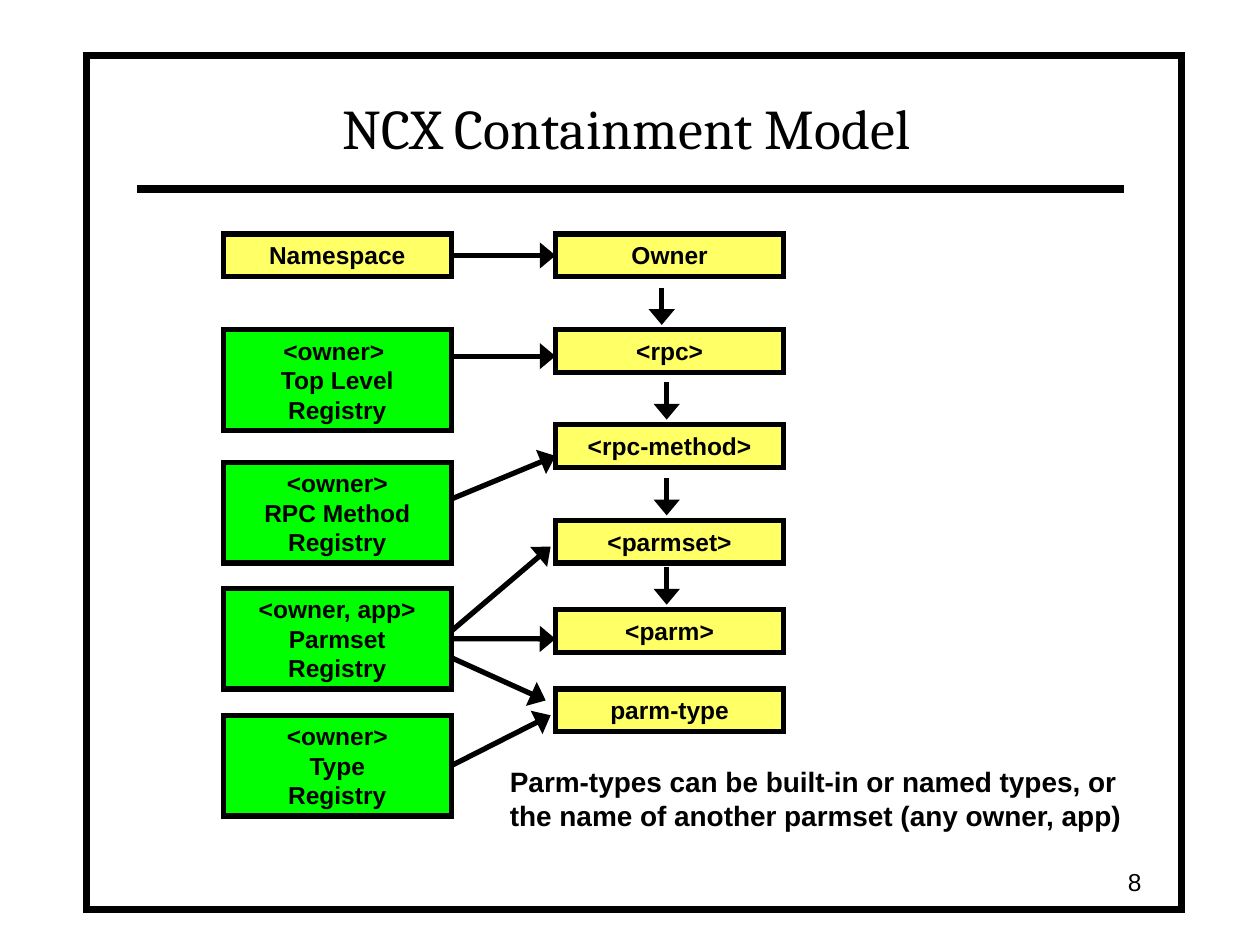
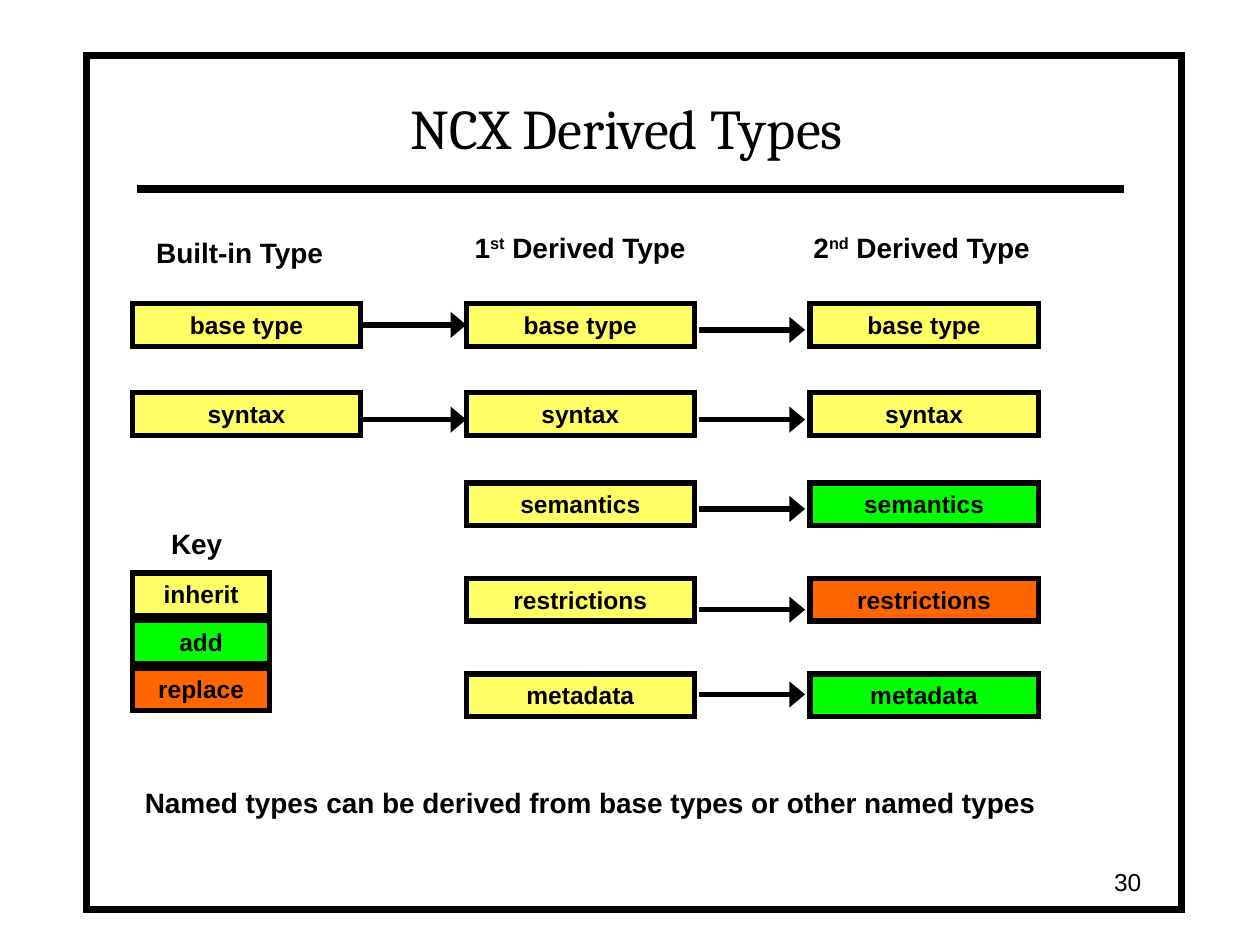
import pptx
import pptx.dml.color
import pptx.enum.shapes
import pptx.enum.text
import pptx.oxml.ns
import pptx.util
import lxml.etree

Cm, Pt = pptx.util.Cm, pptx.util.Pt
ALIGN = pptx.enum.text.PP_ALIGN
ANCHOR = pptx.enum.text.MSO_ANCHOR
LEFT_SIDE, RIGHT_SIDE = 1, 3

COLOURS = {
    "paper": "FFFFFF",
    "ink": "000000",
    "inherit": "FFFF66",
    "add": "00FF00",
    "replace": "FF6600",
}
BOX_WIDTH, BOX_HEIGHT, REGISTRY_HEIGHT = 4.6, 0.86, 2.03


def colour(name):
    """Return the named colour of the palette."""
    return pptx.dml.color.RGBColor.from_string(COLOURS[name])


def add_element(parent, tag, **attributes):
    """Append a drawing element with its attributes."""
    lxml.etree.SubElement(parent, pptx.oxml.ns.qn(tag), attributes)


def write(frame, text, size, bold=True, font="Arial", align=ALIGN.LEFT, anchor=ANCHOR.TOP):
    """Fill a frame; a newline breaks the line and carets enclose superscript."""
    frame.vertical_anchor = anchor
    paragraph = frame.paragraphs[0]
    paragraph.alignment = align
    for number, line in enumerate(text.split("\n")):
        if number:
            paragraph.add_line_break()
        for position, part in enumerate(line.split("^")):
            run = paragraph.add_run()
            run.text = part
            run.font.name, run.font.size, run.font.bold = font, Pt(size), bold
            run.font.color.rgb = colour("ink")
            if position % 2:
                run.font._element.set("baseline", "30000")


def label(slide, left, top, width, height, text, size=16, wrap=True, **style):
    """Place free text."""
    frame = slide.shapes.add_textbox(Cm(left), Cm(top), Cm(width), Cm(height)).text_frame
    frame.word_wrap = wrap
    write(frame, text, size, **style)


def panel(slide, left, top, width, height, fill, line_width=3):
    """Draw a rectangle with a sharp-cornered outline."""
    shape = slide.shapes.add_shape(pptx.enum.shapes.MSO_SHAPE.RECTANGLE,
                                   Cm(left), Cm(top), Cm(width), Cm(height))
    shape.shadow.inherit = False
    shape.fill.solid()
    shape.fill.fore_color.rgb = colour(fill)
    shape.line.color.rgb = colour("ink")
    shape.line.width = Pt(line_width)
    add_element(shape.line._get_or_add_ln(), "a:miter", lim="800000")
    return shape


def node(slide, left, top, text, fill="inherit", width=BOX_WIDTH, height=BOX_HEIGHT):
    """Draw a box with a centred bold caption."""
    shape = panel(slide, left, top, width, height, fill)
    shape.text_frame.word_wrap = True
    write(shape.text_frame, text, 14, align=ALIGN.CENTER)
    return shape


def rule(slide, start, end, width):
    """Draw a plain straight line between two points."""
    line = slide.shapes.add_connector(pptx.enum.shapes.MSO_CONNECTOR.STRAIGHT,
                                      *map(Cm, start + end))
    line.line.color.rgb = colour("ink")
    line.line.width = Pt(width)
    add_element(line._element.spPr, "a:effectLst")
    return line


def arrow(slide, start, end, source=None, target=None):
    """Draw an arrow, joined to the source's right and target's left if given."""
    line = rule(slide, start, end, 3)
    add_element(line.line._get_or_add_ln(), "a:tailEnd", type="triangle", w="lg", len="med")
    if source is not None:
        line.begin_connect(source, RIGHT_SIDE)
    if target is not None:
        line.end_connect(target, LEFT_SIDE)


def framed_slide(deck, title, number):
    """Add a slide with the shared frame, title, rule and page number."""
    slide = deck.slides.add_slide(deck.slide_layouts[6])
    panel(slide, 1.75, 1.12, 22.07, 17.22, "paper", 4)
    rule(slide, (2.77, 3.81), (22.66, 3.81), 4.5)
    label(slide, 2.74, 1.47, 19.79, 1.9, title, 32, bold=False, font="Cambria",
          align=ALIGN.CENTER, anchor=ANCHOR.BOTTOM)
    label(slide, 17.98, 17.35, 5.28, 0.84, str(number), 14, bold=False,
          align=ALIGN.RIGHT, anchor=ANCHOR.MIDDLE)
    return slide


def containment_model(slide, left, top):
    """Draw registries on the left pointing at the containment chain."""
    chain_left, registry_right = left + 6.7, left + BOX_WIDTH
    namespace = node(slide, left, top, "Namespace")
    registries = [
        node(slide, left, top + offset, text, "add", height=REGISTRY_HEIGHT)
        for offset, text in [
            (1.93, "<owner> \nTop Level\nRegistry"),
            (4.6, "<owner>\nRPC Method\nRegistry"),
            (7.14, "<owner, app>\nParmset\nRegistry"),
            (9.7, "<owner>\nType\nRegistry"),
        ]
    ]
    parmset_registry, type_registry = registries[2:]

    chain = [(0, "Owner"), (1.93, "<rpc>"), (3.84, "<rpc-method>"),
             (5.77, "<parmset>"), (7.57, "<parm>"), (9.17, "parm-type")]
    owner, *_ = [node(slide, chain_left, top + offset, text) for offset, text in chain]
    for offset, text in chain[1:5]:
        x = chain_left + (2.14 if text == "<rpc>" else 2.24)
        tip = top + offset - 0.1
        arrow(slide, (x, tip - 0.75), (x, tip))

    for start, reach, end, source, target in [
        (0.43, 0, 0.43, namespace, owner),
        (2.46, 0, 2.46, None, None),
        (5.34, 0, 4.47, None, None),
        (8.0, -0.1, 6.3, None, None),
        (8.16, 0, 8.16, parmset_registry, None),
        (8.54, -0.2, 9.4, None, None),
        (10.72, -0.1, 9.7, type_registry, None),
    ]:
        arrow(slide, (registry_right, top + start), (chain_left + reach, top + end),
              source, target)


def derivation_grid(slide, left, top):
    """Draw the three type columns and the arrows between them."""
    first_left, second_left = left + 6.73, left + 13.66
    for x, y, width, text in [
        (left + 0.23, 0.1, 3.91, "Built-in Type"),
        (first_left - 0.08, 0, 4.8, "1^st^ Derived Type"),
        (second_left - 0.18, 0, 4.9, "2^nd^ Derived Type"),
    ]:
        label(slide, x, top + y, width, 0.94, text, wrap=False)

    for offset, arrow_offset, text, fill, built_in in [
        (1.6, 2.13, "base type", "inherit", True),
        (3.4, 3.94, "syntax", "inherit", True),
        (5.22, 5.74, "semantics", "add", False),
        (7.14, 7.77, "restrictions", "replace", False),
        (9.07, 9.48, "metadata", "add", False),
    ]:
        y, arrow_y = top + offset, top + arrow_offset
        first = node(slide, first_left, y, text)
        node(slide, second_left, y, text, fill)
        arrow(slide, (first_left + BOX_WIDTH + 0.1, arrow_y), (second_left - 0.1, arrow_y))
        if built_in:
            origin = node(slide, left, y, text)
            ends = (origin, first) if text == "base type" else ()
            arrow(slide, (left + BOX_WIDTH, arrow_y), (first_left, arrow_y), *ends)


def colour_key(slide, left, top):
    """Draw the key that explains the fills."""
    label(slide, left + 0.53, top, 2.2, 0.94, "Key")
    for row, meaning in enumerate(("inherit", "add", "replace")):
        node(slide, left, top + 1.06 + 0.96 * row, meaning, meaning, width=2.77)


def main():
    """Build and save the deck."""
    deck = pptx.Presentation()
    deck.slide_width, deck.slide_height = Cm(25.4), Cm(19.05)

    containment = framed_slide(deck, "NCX Containment Model", 8)
    containment_model(containment, 4.5, 4.72)
    label(containment, 10.03, 15.29, 13.0, 1.63,
          "Parm-types can be built-in or named types, or "
          "the name of another parmset (any owner, app)")

    derived = framed_slide(deck, "NCX Derived Types", 30)
    derivation_grid(derived, 2.67, 4.52)
    colour_key(derived, 2.67, 10.49)
    label(derived, 2.67, 15.72, 19.84, 0.94,
          "Named types can be derived from base types or other named types")

    deck.save("out.pptx")


if __name__ == "__main__":
    main()
